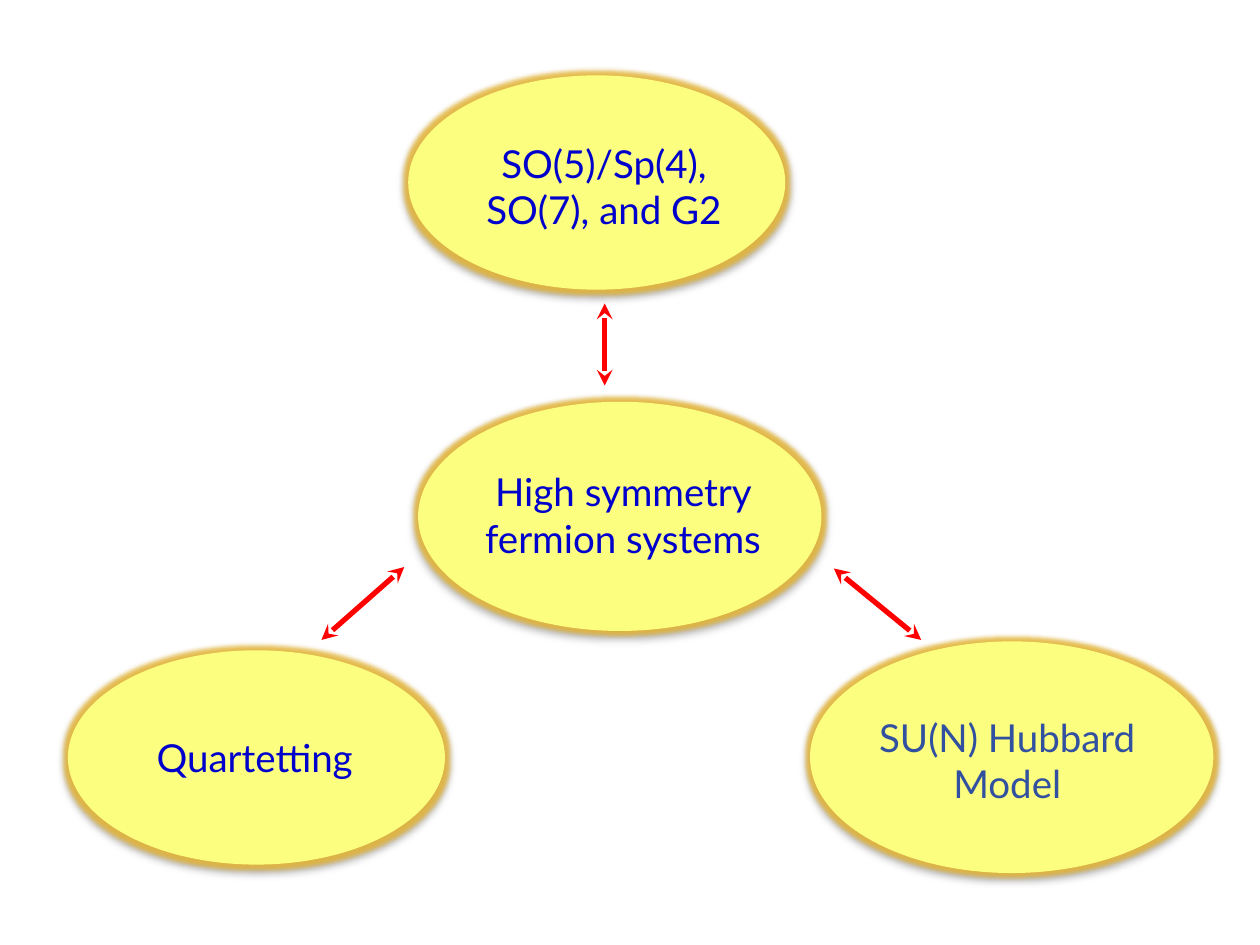
from lxml.etree import SubElement
from pptx import Presentation
from pptx.dml.color import RGBColor
from pptx.enum.shapes import MSO_CONNECTOR, MSO_SHAPE
from pptx.enum.text import PP_ALIGN
from pptx.oxml.ns import qn
from pptx.util import Cm, Pt


def color(code):
    return RGBColor.from_string(code)


def add(parent, tag, **attrs):
    """Append a DrawingML child with the given attributes."""
    return SubElement(parent, qn("a:" + tag), attrs)


class Deck:
    """Holds the style and the current slide."""

    fill, glow, red = "FBFE7E", "E8B52E", "FF0000"
    font = {"name": "Lato", "size": Pt(22)}

    def __init__(self):
        self.prs = Presentation()
        self.prs.slide_width, self.prs.slide_height = Cm(25.4), Cm(19.05)
        self.slide = self.prs.slides.add_slide(self.prs.slide_layouts[6])

    def oval(self, *box):
        shape = self.slide.shapes.add_shape(MSO_SHAPE.OVAL, *map(Cm, box))
        shape.fill.solid()
        shape.fill.fore_color.rgb = color(self.fill)
        shape.line.fill.background()
        shape.shadow.inherit = False
        fx = shape._element.spPr.find(qn("a:effectLst"))
        halo = add(fx, "glow", rad=str(Pt(5)))
        shade = add(fx, "outerShdw", blurRad=str(Pt(3.5)), dist=str(Pt(2.2)),
                    dir="5400000", rotWithShape="0")
        for part, code, alpha in ((halo, self.glow, 80), (shade, "000000", 32)):
            add(add(part, "srgbClr", val=code), "alpha", val=str(alpha * 1000))

    def text(self, box, lines, ink):
        frame = self.slide.shapes.add_textbox(*map(Cm, box)).text_frame
        frame.word_wrap = True
        frame.text = lines
        for para in frame.paragraphs:
            para.alignment = PP_ALIGN.CENTER
            font = para.runs[0].font
            for name, value in self.font.items():
                setattr(font, name, value)
            font.color.rgb = color(ink)

    def arrow(self, *ends):
        link = self.slide.shapes.add_connector(MSO_CONNECTOR.STRAIGHT, *map(Cm, ends))
        link.line.color.rgb = color(self.red)
        link.line.width = Pt(3)
        for end in ("headEnd", "tailEnd"):
            add(link.line._get_or_add_ln(), end, type="stealth")
        add(link._element.spPr, "effectLst")


def main():
    blue, slate = "0000CC", "3250A0"
    topics = [
        ((1.37, 13.11, 7.6, 4.32), (2.06, 14.68, 6.15, 1.19), "Quartetting", blue),
        ((16.33, 12.93, 8.13, 4.67), (16.76, 14.27, 7.29, 2.13),
         "SU(N) Hubbard \nModel ", slate),
        ((8.23, 1.52, 7.6, 4.32), (8.76, 2.69, 6.83, 2.57),
         "SO(5)/Sp(4), SO(7), and G2", blue),
        ((8.43, 8.1, 8.13, 4.62), (8.71, 9.32, 7.7, 2.13),
         "High symmetry fermion systems", blue),
    ]
    links = [
        (12.19, 7.77, 12.19, 6.12),
        (6.48, 12.9, 8.15, 11.43),
        (16.81, 11.46, 18.57, 12.9),
    ]
    deck = Deck()
    for oval, box, lines, ink in topics:
        deck.oval(*oval)
        deck.text(box, lines, ink)
    for ends in links:
        deck.arrow(*ends)
    deck.prs.save("out.pptx")


if __name__ == "__main__":
    main()
